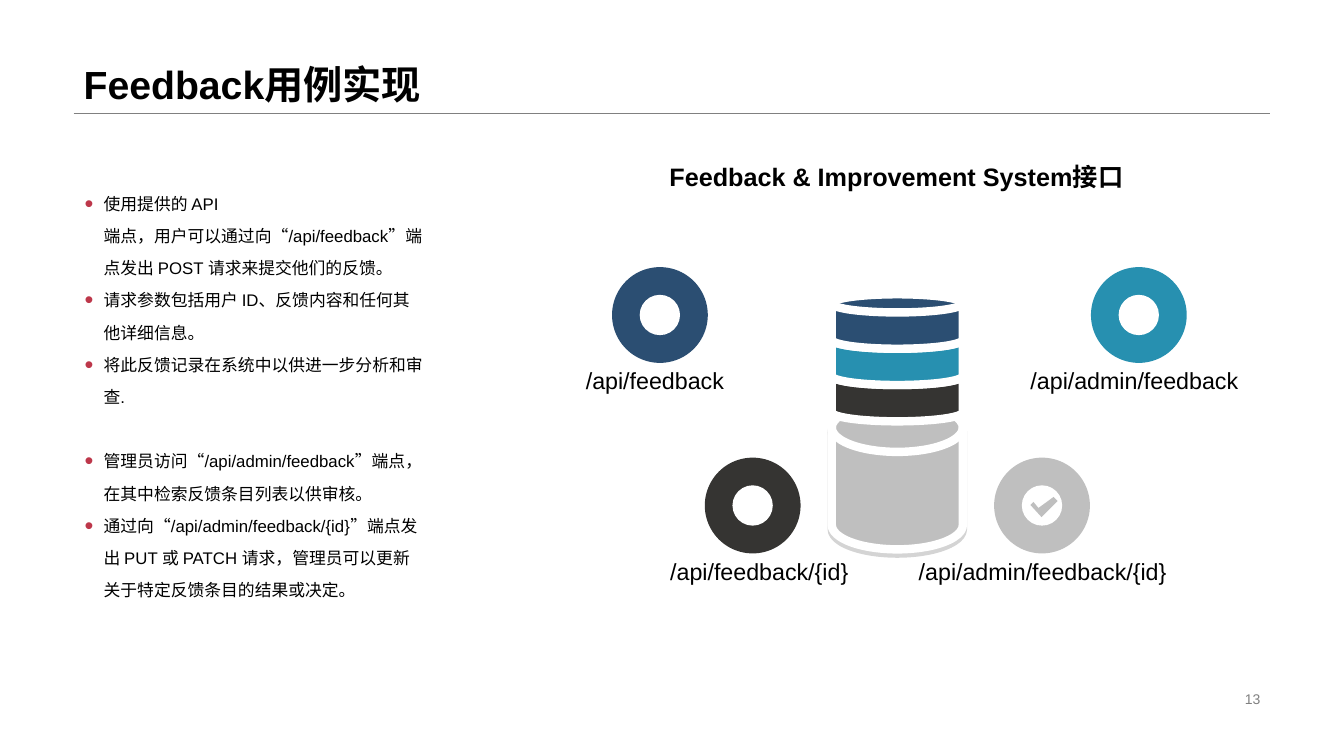
from lxml.etree import SubElement
from pptx import Presentation
from pptx.dml.color import RGBColor
from pptx.enum.shapes import MSO_CONNECTOR as Connector, MSO_SHAPE as Shape
from pptx.enum.text import MSO_ANCHOR as Anchor, MSO_AUTO_SIZE as AutoSize, PP_ALIGN as Align
from pptx.oxml.ns import qn
from pptx.util import Inches, Pt

NAVY, TEAL, DARK, GREY = "2B4E72", "2790B0", "353432", "BFBFBF"
WHITE, BLACK, RULE, RED = "FFFFFF", "000000", "808080", "BD374A"

TITLE = "Feedback用例实现"
HEADING = "Feedback & Improvement System接口"
PAGE = "13"
BULLETS = [
    "使用提供的 API 端点，用户可以通过向“/api/feedback”端点发出 POST 请求来提交他们的反馈。",
    "请求参数包括用户 ID、反馈内容和任何其他详细信息。",
    "将此反馈记录在系统中以供进一步分析和审查.",
    "管理员访问“/api/admin/feedback”端点，在其中检索反馈条目列表以供审核。",
    "通过向“/api/admin/feedback/{id}”端点发出 PUT 或 PATCH 请求，管理员可以更新关于特定反馈条目的结果或决定。",
]
ADMIN_START = 3
ENDPOINTS = [
    ("/api/feedback", NAVY, 6.07, 2.65, 5.66, 1.67),
    ("/api/feedback/{id}", DARK, 6.99, 4.54, 6.21, 2.64),
    ("/api/admin/feedback", TEAL, 10.82, 2.65, 9.9, 2.7),
    ("/api/admin/feedback/{id}", GREY, 9.86, 4.54, 8.94, 2.8),
]
CIRCLE, ICON, LABEL_DROP = 0.95, 0.4, 0.97
DISK_LEFT, DISK_TOP, DISK_WIDTH, DISK_STEP = 8.25, 2.92, 1.3, 0.36
DISKS = [(GREY, 1.45), (DARK, 0.54), (TEAL, 0.54), (NAVY, 0.54)]
CHECK = [(10.22, 5.01), (10.25, 4.98), (10.3, 5.04), (10.45, 4.93),
         (10.49, 4.97), (10.33, 5.13)]


def rgb(value):
    return RGBColor.from_string(value)


def assign(target, values):
    for name, value in values.items():
        setattr(target, name, value)


def write(paragraph, text, size, color=BLACK, bold=False, **layout):
    run = paragraph.add_run()
    run.text = text
    assign(run.font, {"name": "Arial", "size": Pt(size), "bold": bold})
    run.font.color.rgb = rgb(color)
    assign(paragraph, layout)


def add_box(slide, left, top, width, height, **frame_format):
    box = slide.shapes.add_textbox(*map(Inches, (left, top, width, height)))
    assign(box.text_frame, {"word_wrap": True, **frame_format})
    return box.text_frame


def paint(shape, fill, line=None):
    shape.shadow.inherit = False
    shape.fill.solid()
    shape.fill.fore_color.rgb = rgb(fill)
    if line:
        shape.line.color.rgb = rgb(WHITE)
        shape.line.width = Pt(line)
    else:
        shape.line.fill.background()


def add_filled(slide, kind, left, top, width, height, fill, line=None):
    shape = slide.shapes.add_shape(kind, *map(Inches, (left, top, width, height)))
    paint(shape, fill, line)
    return shape


def add_shadow(shape):
    effects = shape.element.spPr.find(qn("a:effectLst"))
    shadow = SubElement(effects, qn("a:outerShdw"), blurRad="0", dist=str(Pt(3)),
                        dir="5400000", algn="t", rotWithShape="0")
    color = SubElement(shadow, qn("a:srgbClr"), val=BLACK)
    SubElement(color, qn("a:alpha"), val="16000")


def add_bullet(paragraph):
    properties = paragraph._p.get_or_add_pPr()
    properties.set("marL", str(Inches(0.19)))
    properties.set("indent", str(Inches(-0.19)))
    color = SubElement(properties, qn("a:buClr"))
    SubElement(color, qn("a:srgbClr"), val=RED)
    SubElement(properties, qn("a:buSzPct"), val="150000")
    SubElement(properties, qn("a:buFont"), typeface="Arial")
    SubElement(properties, qn("a:buChar"), char="•")


def add_header(slide):
    rule = slide.shapes.add_connector(
        Connector.STRAIGHT, *map(Inches, (0.73, 1.12, 12.6, 1.12)))
    rule.line.color.rgb = rgb(RULE)
    rule.line.width = Pt(0.25)
    SubElement(rule._element.spPr, qn("a:effectLst"))
    title = slide.shapes.title
    assign(title, {"left": Inches(0.73), "top": Inches(0),
                   "width": Inches(11.87), "height": Inches(1.12)})
    assign(title.text_frame, {"vertical_anchor": Anchor.BOTTOM, "word_wrap": True,
                              "auto_size": AutoSize.NONE})
    write(title.text_frame.paragraphs[0], TITLE, 28, bold=True,
          alignment=Align.LEFT, line_spacing=0.9)


def add_bullets(slide):
    frame = add_box(slide, 0.74, 1.75, 3.56, 4.26)
    for index, text in enumerate(BULLETS):
        paragraph = frame.add_paragraph() if index else frame.paragraphs[0]
        gap = Pt(23 if index == ADMIN_START else 0)
        write(paragraph, text, 12, line_spacing=1.6, space_before=gap)
        add_bullet(paragraph)


def add_disks(slide):
    for index, (color, height) in enumerate(DISKS):
        top = DISK_TOP + DISK_STEP * (len(DISKS) - 1 - index)
        disk = add_filled(slide, Shape.FLOWCHART_MAGNETIC_DISK, DISK_LEFT, top,
                          DISK_WIDTH, height, color, 6)
        if index == 0:
            add_shadow(disk)


def add_endpoints(slide):
    inset = (CIRCLE - ICON) / 2
    for label, color, left, top, label_left, label_width in ENDPOINTS:
        add_filled(slide, Shape.OVAL, left, top, CIRCLE, CIRCLE, color)
        add_filled(slide, Shape.OVAL, left + inset, top + inset, ICON, ICON, WHITE)
        frame = add_box(slide, label_left, top + LABEL_DROP, label_width, 0.34,
                        word_wrap=False, vertical_anchor=Anchor.BOTTOM)
        write(frame.paragraphs[0], label, 16.6, alignment=Align.CENTER)
    points = [(Inches(x), Inches(y)) for x, y in CHECK]
    builder = slide.shapes.build_freeform(*points[0])
    builder.add_line_segments(points[1:], close=True)
    paint(builder.convert_to_shape(), GREY)


def main():
    presentation = Presentation()
    assign(presentation, {"slide_width": Inches(13.33), "slide_height": Inches(7.5)})
    slide = presentation.slides.add_slide(presentation.slide_layouts[5])
    add_header(slide)
    page = add_box(slide, 9.42, 6.82, 3.18, 0.23, vertical_anchor=Anchor.MIDDLE)
    write(page.paragraphs[0], PAGE, 10, RULE, alignment=Align.RIGHT)
    add_disks(slide)
    add_endpoints(slide)
    heading = add_box(slide, 6.13, 1.55, 5.52, 0.4)
    write(heading.paragraphs[0], HEADING, 18, bold=True, alignment=Align.CENTER)
    add_bullets(slide)
    presentation.save("out.pptx")


if __name__ == "__main__":
    main()
